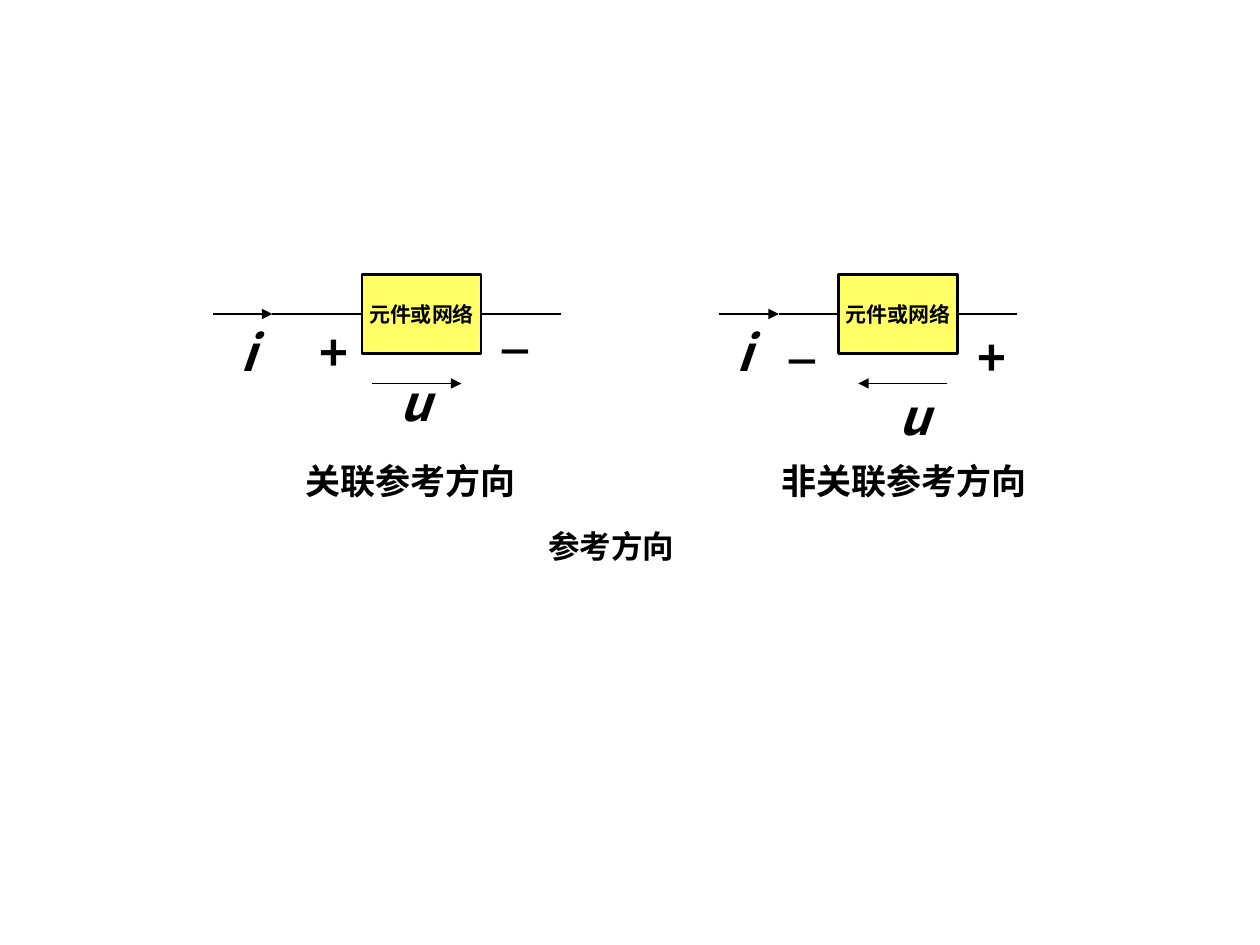
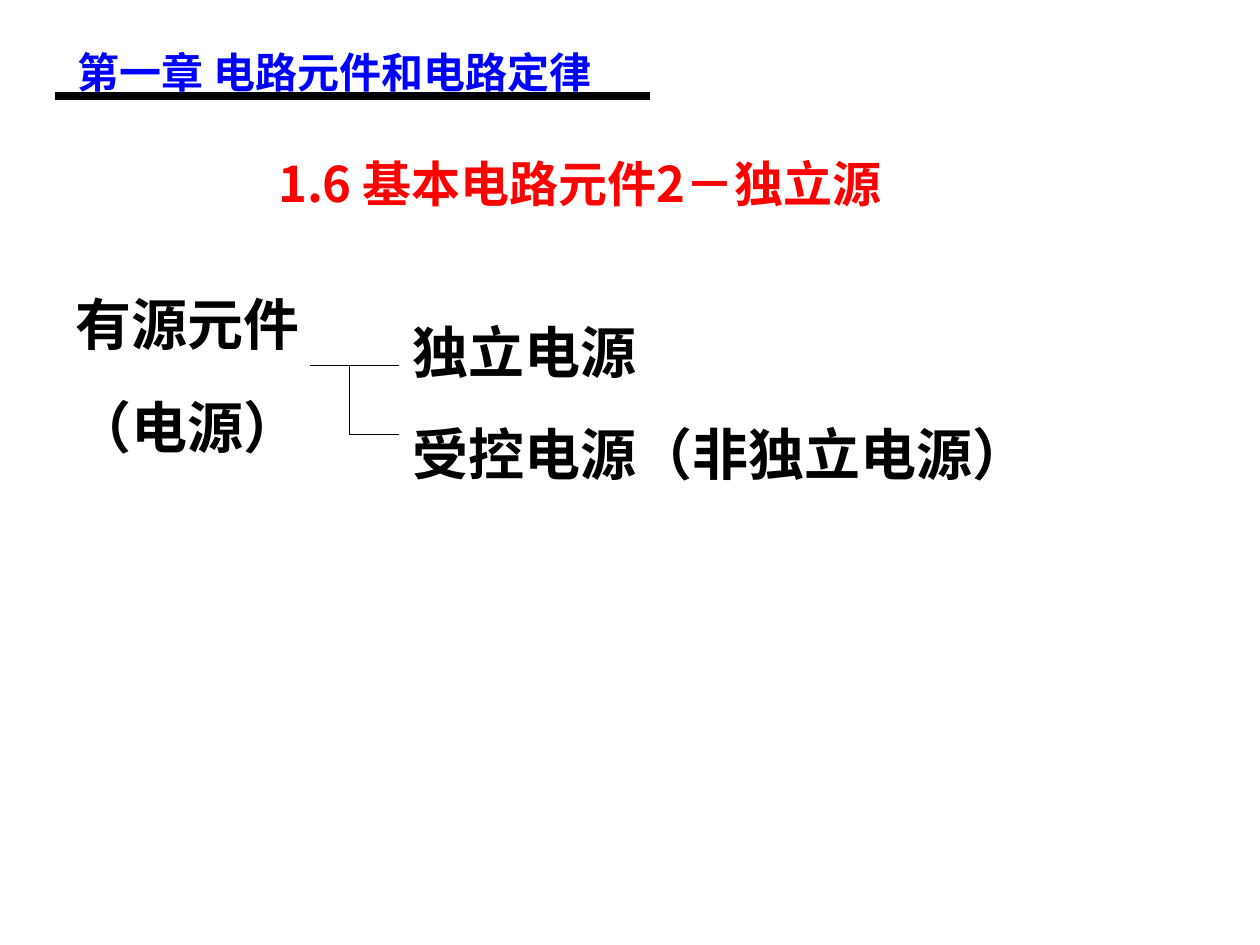
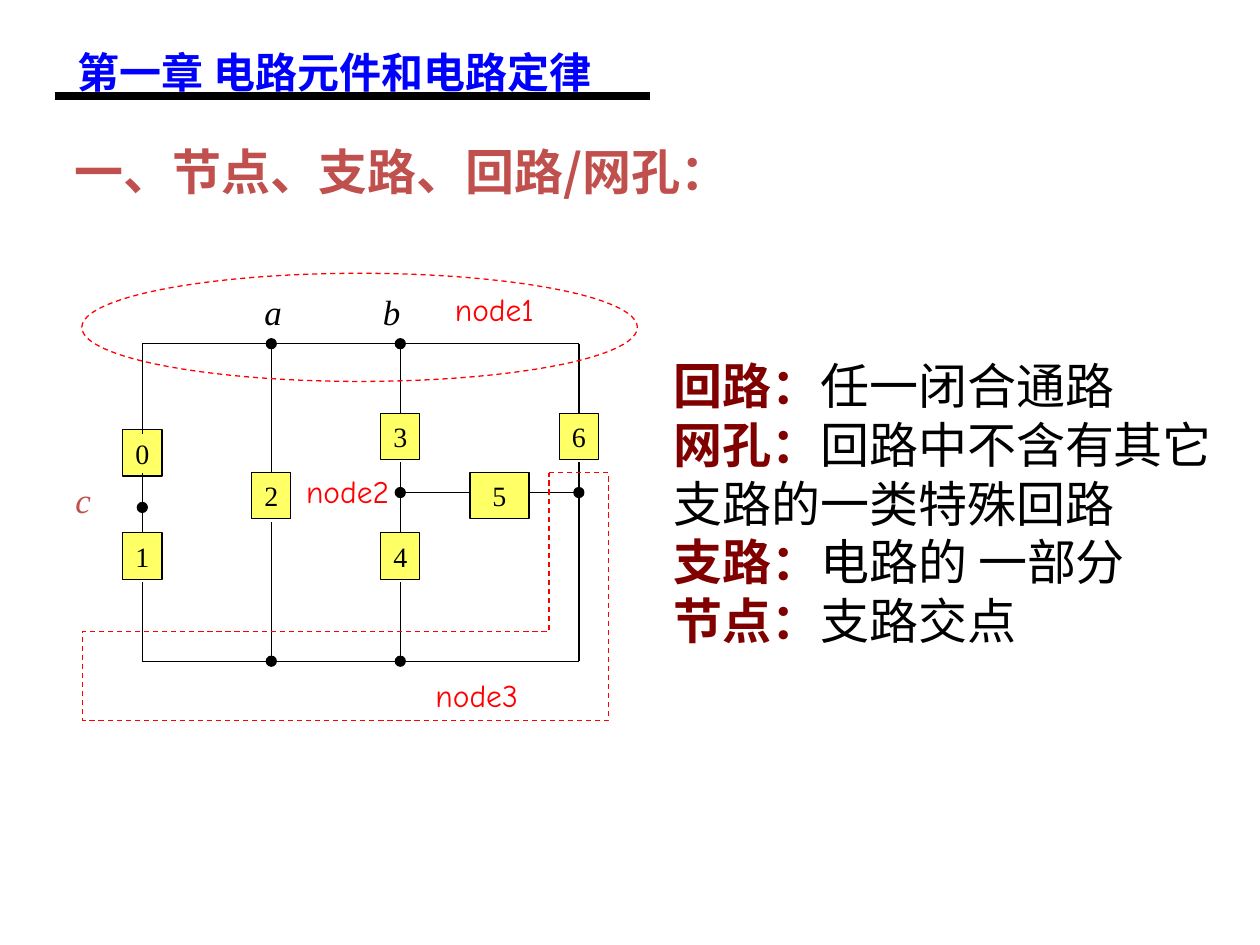
from lxml.etree import SubElement
from pptx import Presentation
from pptx.dml.color import RGBColor
from pptx.enum.dml import MSO_LINE_DASH_STYLE as Dash
from pptx.enum.shapes import MSO_CONNECTOR as Connector, MSO_SHAPE as Shape
from pptx.enum.text import MSO_ANCHOR as Anchor, MSO_AUTO_SIZE as AutoSize, PP_ALIGN as Align
from pptx.oxml.ns import qn
from pptx.util import Cm, Pt

COLORS = {
    "black": "000000",
    "yellow": "FFFF66",
    "blue": "0000FF",
    "red": "FF0000",
    "brick": "C0504D",
    "maroon": "800000",
}
SANS, SERIF, COMIC = "Noto Sans CJK SC", "Times New Roman", "Comic Neue"


def rgb(name):
    return RGBColor.from_string(COLORS[name])


class Deck:
    def __init__(self):
        self.presentation = Presentation()
        self.presentation.slide_width = Cm(25.4)
        self.presentation.slide_height = Cm(19.05)
        self.slide = None

    def new_slide(self):
        self.slide = self.presentation.slides.add_slide(self.presentation.slide_layouts[6])

    def chapter_header(self):
        self.line(1.1, 1.93, 13.1, 1.93, 4.5)
        self.text("第一章 电路元件和电路定律", 1.32, 0.81, 11.2, 1.27, 24, color="blue")

    def format_run(self, run, size, font=SANS, color="black", bold=True, italic=False):
        run.font.size, run.font.name = Pt(size), font
        run.font.bold, run.font.italic = bold, italic
        run.font.color.rgb = rgb(color)

    def text_box(self, left, top, width, height, wrap=False):
        frame = self.slide.shapes.add_textbox(Cm(left), Cm(top), Cm(width), Cm(height)).text_frame
        frame.word_wrap = wrap
        frame.auto_size = AutoSize.SHAPE_TO_FIT_TEXT
        return frame

    def text(self, text, left, top, width, height, size, gap=0, **style):
        frame = self.text_box(left, top, width, height)
        frame.text = text
        for index, paragraph in enumerate(frame.paragraphs):
            if index:
                paragraph.space_before = Pt(gap)
            self.format_run(paragraph.runs[0], size, **style)

    def definitions(self, entries, left, top, width, height, size):
        frame = self.text_box(left, top, width, height, wrap=True)
        frame.text = "\n".join(term for term, _ in entries)
        for paragraph, (_, meaning) in zip(frame.paragraphs, entries):
            self.format_run(paragraph.runs[0], size, SERIF, "maroon")
            run = paragraph.add_run()
            run.text = meaning
            self.format_run(run, size, SERIF, bold=False)

    def outline(self, shape, color="black", weight=0.75, fill=None, dashed=False):
        shape.shadow.inherit = False
        shape.line.color.rgb = rgb(color)
        shape.line.width = Pt(weight)
        if dashed:
            shape.line.dash_style = Dash.DASH
        if fill:
            shape.fill.solid()
            shape.fill.fore_color.rgb = rgb(fill)
        else:
            shape.fill.background()

    def shape(self, kind, center_x, center_y, width, height, **style):
        shape = self.slide.shapes.add_shape(
            kind, Cm(center_x - width / 2), Cm(center_y - height / 2), Cm(width), Cm(height))
        self.outline(shape, **style)
        return shape

    def component(self, label, center_x, center_y, width, height, size, weight=0.75, **style):
        shape = self.shape(Shape.RECTANGLE, center_x, center_y, width, height,
                           weight=weight, fill="yellow")
        frame = shape.text_frame
        frame.text = label
        frame.word_wrap = False
        frame.vertical_anchor = Anchor.MIDDLE
        paragraph = frame.paragraphs[0]
        paragraph.alignment = Align.CENTER
        self.format_run(paragraph.runs[0], size, **style)

    def dot(self, x, y):
        self.shape(Shape.OVAL, x, y, 0.2, 0.2, fill="black")

    def dashed_outline(self, points):
        start, *rest = [(Cm(x), Cm(y)) for x, y in points]
        builder = self.slide.shapes.build_freeform(*start)
        builder.add_line_segments(rest, close=True)
        self.outline(builder.convert_to_shape(), "red", dashed=True)

    def line(self, x1, y1, x2, y2, weight=0.75, arrow=False):
        line = self.slide.shapes.add_connector(Connector.STRAIGHT, Cm(x1), Cm(y1), Cm(x2), Cm(y2))
        line.line.color.rgb = rgb("black")
        line.line.width = Pt(weight)
        properties = line._element.spPr
        if arrow:
            SubElement(properties.find(qn("a:ln")), qn("a:tailEnd"), type="triangle")
        SubElement(properties, qn("a:effectLst"))


def two_terminal(deck, box_left, wire, current_weight, voltage, labels):
    wire_y, box_width = 6.33, 2.4
    wire_start, wire_end = wire
    deck.component("元件或网络", box_left + box_width / 2, wire_y, box_width, 1.6, 12, 1.5)
    deck.line(wire_start, wire_y, box_left, wire_y, 1.5)
    deck.line(box_left + box_width, wire_y, wire_end, wire_y, 1.5)
    deck.line(wire_start - 1.2, wire_y, wire_start, wire_y, current_weight, arrow=True)
    deck.line(voltage[0], 7.73, voltage[1], 7.73, arrow=True)
    for label, left, top in labels:
        deck.text(label, left, top, 1.09, 1.45, 28, italic=label.isalpha())


def reference_directions(deck):
    deck.new_slide()
    two_terminal(deck, 7.3, (5.49, 11.3), 1.5, (7.49, 9.3),
                 [("u", 7.8, 7.39), ("i", 4.6, 6.38), ("+", 6.2, 6.38), ("_", 9.86, 5.87)])
    two_terminal(deck, 16.9, (15.7, 20.5), 0.75, (19.1, 17.3),
                 [("u", 17.86, 7.67), ("i", 14.6, 6.38), ("_", 15.65, 6.07), ("+", 19.46, 6.48)])
    deck.text("关联参考方向", 5.9, 9.13, 4.8, 1.12, 20)
    deck.text("非关联参考方向", 15.5, 9.13, 5.5, 1.12, 20)
    deck.text("参考方向", 10.8, 10.49, 3.1, 1.02, 18)


def independent_sources(deck):
    deck.new_slide()
    deck.chapter_header()
    deck.text("1.6 基本电路元件2－独立源", 5.36, 2.97, 14.2, 1.45, 28, color="red")
    deck.text("有源元件\n（电源）", 1.27, 5.72, 5.1, 3.68, 32, gap=20, font=SERIF)
    deck.text("独立电源\n受控电源（非独立电源）", 8.06, 6.27, 13.5, 3.68, 32, gap=20, font=SERIF)
    branch_x, upper_y, lower_y, end_x = 7.04, 7.37, 8.76, 8.05
    deck.line(6.25, upper_y, end_x, upper_y)
    deck.line(branch_x, upper_y, branch_x, lower_y)
    deck.line(branch_x, lower_y, end_x, lower_y)


def nodes_and_loops(deck):
    deck.new_slide()
    deck.text("一、节点、支路、回路/网孔：", 1.25, 2.72, 14.6, 1.45, 28, color="brick")
    deck.chapter_header()

    column_c, column_a, column_b, column_right = 2.87, 5.47, 8.07, 11.67
    top, middle, bottom = 6.93, 9.93, 13.33
    components = [
        ("0", column_c, 9.13, 0.79), ("1", column_c, 11.21, 0.79),
        ("2", column_a, 9.99, 0.79), ("3", column_b, 8.8, 0.79),
        ("4", column_b, 11.21, 0.79), ("6", column_right, 8.8, 0.79),
        ("5", 10.07, 9.99, 1.19),
    ]
    for label, x, y, width in components:
        deck.component(label, x, y, width, 0.94, 16, font=SERIF, bold=False)

    vertical_wires = {
        column_c: [(top, 8.74), (9.53, 10.72), (11.73, bottom)],
        column_a: [(top, 9.53), (10.52, bottom)],
        column_b: [(top, 8.33), (9.32, 10.72), (11.73, bottom)],
        column_right: [(top, 8.33), (9.32, bottom)],
    }
    for x, segments in vertical_wires.items():
        for start, end in segments:
            deck.line(x, start, x, end)
    for y, start, end in [(top, column_c, column_right), (bottom, column_c, column_right),
                          (middle, column_b, 9.47), (middle, 10.67, column_right)]:
        deck.line(start, y, end, y)

    for x, y in [(column_c, 10.23), (column_a, top), (column_a, bottom), (column_b, top),
                 (column_b, middle), (column_b, bottom), (column_right, middle)]:
        deck.dot(x, y)

    for label, left, label_top, color in [("a", 5.08, 5.74, "black"), ("b", 7.47, 5.74, "black"),
                                          ("c", 1.27, 9.53, "brick")]:
        deck.text(label, left, label_top, 0.86, 1.12, 20,
                  font=SERIF, color=color, bold=False, italic=True)
    deck.shape(Shape.OVAL, 7.25, 6.6, 11.2, 2.18, color="red", dashed=True)
    for label, left, label_top in [("node1", 8.92, 5.72), ("node2", 5.92, 9.4),
                                   ("node3", 8.53, 13.51)]:
        deck.text(label, left, label_top, 2.4, 1.02, 18, font=COMIC, color="red", bold=False)
    deck.dashed_outline([(11.07, 9.53), (12.27, 9.53), (12.27, 14.53),
                         (1.67, 14.53), (1.67, 12.73), (11.07, 12.73)])

    deck.definitions([
        ("回路：", "任一闭合通路"),
        ("网孔：", "回路中不含有其它支路的一类特殊回路"),
        ("支路：", "电路的 一部分"),
        ("节点：", "支路交点"),
    ], 13.33, 7.04, 12.07, 6.2, 28)


def main():
    deck = Deck()
    reference_directions(deck)
    independent_sources(deck)
    nodes_and_loops(deck)
    deck.presentation.save("out.pptx")


if __name__ == "__main__":
    main()
